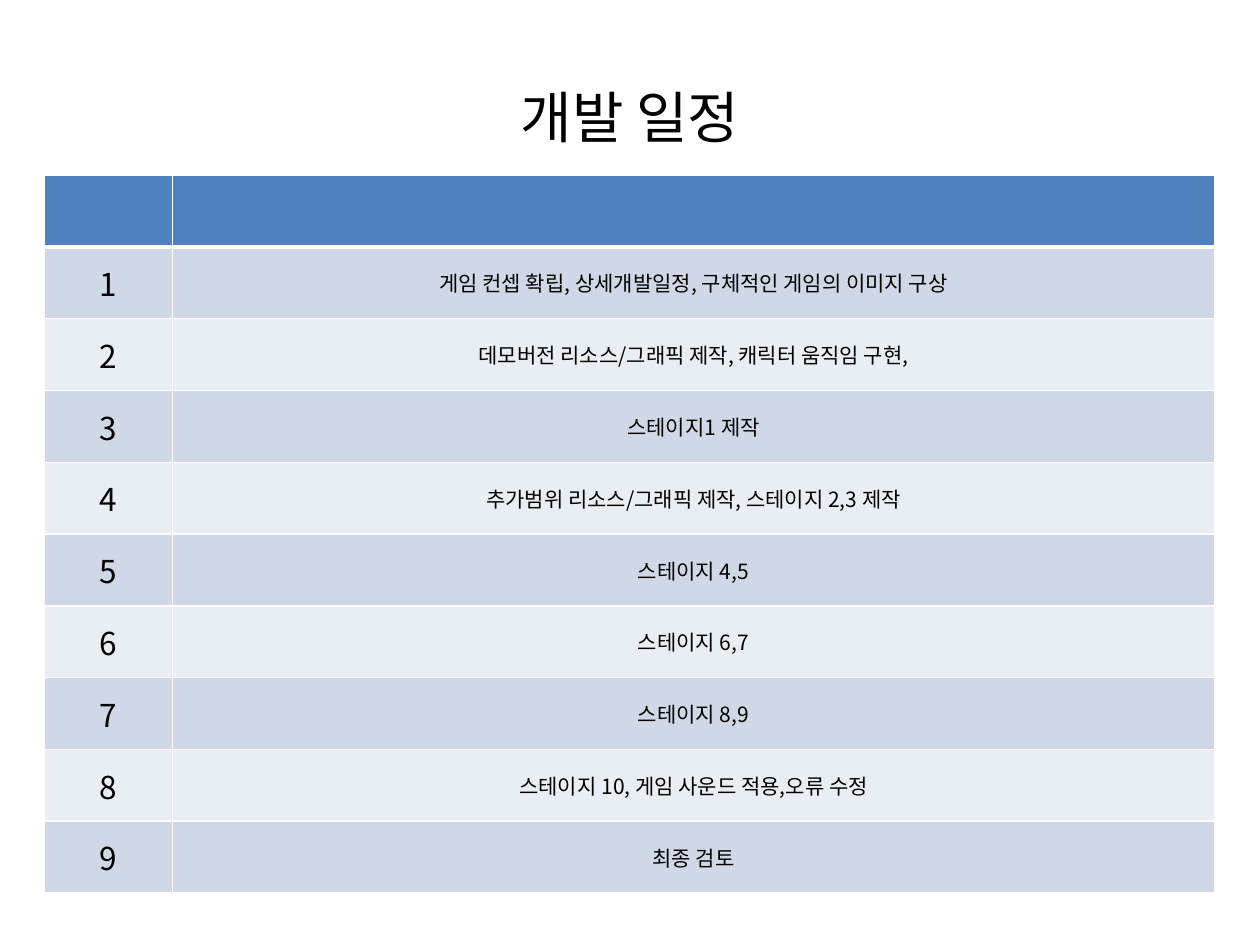
from lxml.etree import SubElement as Sub
from pptx import Presentation as Deck
from pptx.dml.color import RGBColor as Rgb
from pptx.enum.text import MSO_ANCHOR as Anchor, PP_ALIGN as Align
from pptx.oxml.ns import qn
from pptx.util import Inches, Pt

FONT = "Noto Sans CJK KR"
HEAD, BANDS = "4F81BD", ("D0D8E8", "E9EDF4")
INK, RULE = "000000", "FFFFFF"
COLS, ROW = (1.02, 8.27), 0.57
TASKS = (
    "게임 컨셉 확립, 상세개발일정, 구체적인 게임의 이미지 구상",
    "데모버전 리소스/그래픽 제작, 캐릭터 움직임 구현,",
    "스테이지1 제작",
    "추가범위 리소스/그래픽 제작, 스테이지 2,3 제작",
    "스테이지 4,5",
    "스테이지 6,7",
    "스테이지 8,9",
    "스테이지 10, 게임 사운드 적용,오류 수정",
    "최종 검토",
)


def tint(part, code):
    part.solid()
    part.fore_color.rgb = Rgb.from_string(code)


def write(frame, text, size):
    """Put one centred line of text in a frame."""
    para = frame.paragraphs[0]
    para.alignment = Align.CENTER
    run = para.add_run()
    run.text = text
    for name, value in {"name": FONT, "size": Pt(size)}.items():
        setattr(run.font, name, value)
    tint(run.font.fill, INK)
    Sub(run.font._element, qn("a:ea"), typeface=FONT)


def border(cell, widths):
    """Draw the cell's rules; they come before its fill in the XML."""
    props = cell._tc.get_or_add_tcPr()
    for spot, (side, width) in enumerate(widths.items()):
        line = Sub(props, qn(f"a:ln{side}"), w=str(Pt(width)))
        fill = Sub(line, qn("a:solidFill"))
        Sub(fill, qn("a:srgbClr"), val=RULE)
        props.insert(spot, line)


def add_title(slide, text):
    box = slide.shapes.add_textbox(*map(Inches, (0.5, 0.3, 9, 1.25)))
    frame = box.text_frame
    form = {"word_wrap": True, "vertical_anchor": Anchor.MIDDLE}
    for name, value in form.items():
        setattr(frame, name, value)
    write(frame, text, 32)


def add_plan(slide, tasks):
    count = len(tasks) + 1
    area = (0.35, 1.39, sum(COLS), ROW * count)
    table = slide.shapes.add_table(count, len(COLS), *map(Inches, area)).table
    for col, width in zip(table.columns, COLS):
        col.width = Inches(width)

    # The header row is blank; week numbers and tasks follow
    rows = [("", "")] + [(str(n), task) for n, task in enumerate(tasks, 1)]
    for r, texts in enumerate(rows):
        table.rows[r].height = Inches(ROW)
        for c, (text, size) in enumerate(zip(texts, (18, 12))):
            cell = table.cell(r, c)
            tint(cell.fill, BANDS[(r - 1) % 2] if r else HEAD)
            border(cell, {"L": 1, "R": 1, "T": 3 if r == 1 else 1,
                          "B": 1 if r else 3})
            cell.vertical_anchor = Anchor.MIDDLE
            if text:
                write(cell.text_frame, text, size)


def main():
    deck = Deck()
    deck.slide_width, deck.slide_height = Inches(10), Inches(7.5)
    slide = deck.slides.add_slide(deck.slide_layouts[6])
    add_title(slide, "개발 일정")
    add_plan(slide, TASKS)
    deck.save("out.pptx")


if __name__ == "__main__":
    main()
